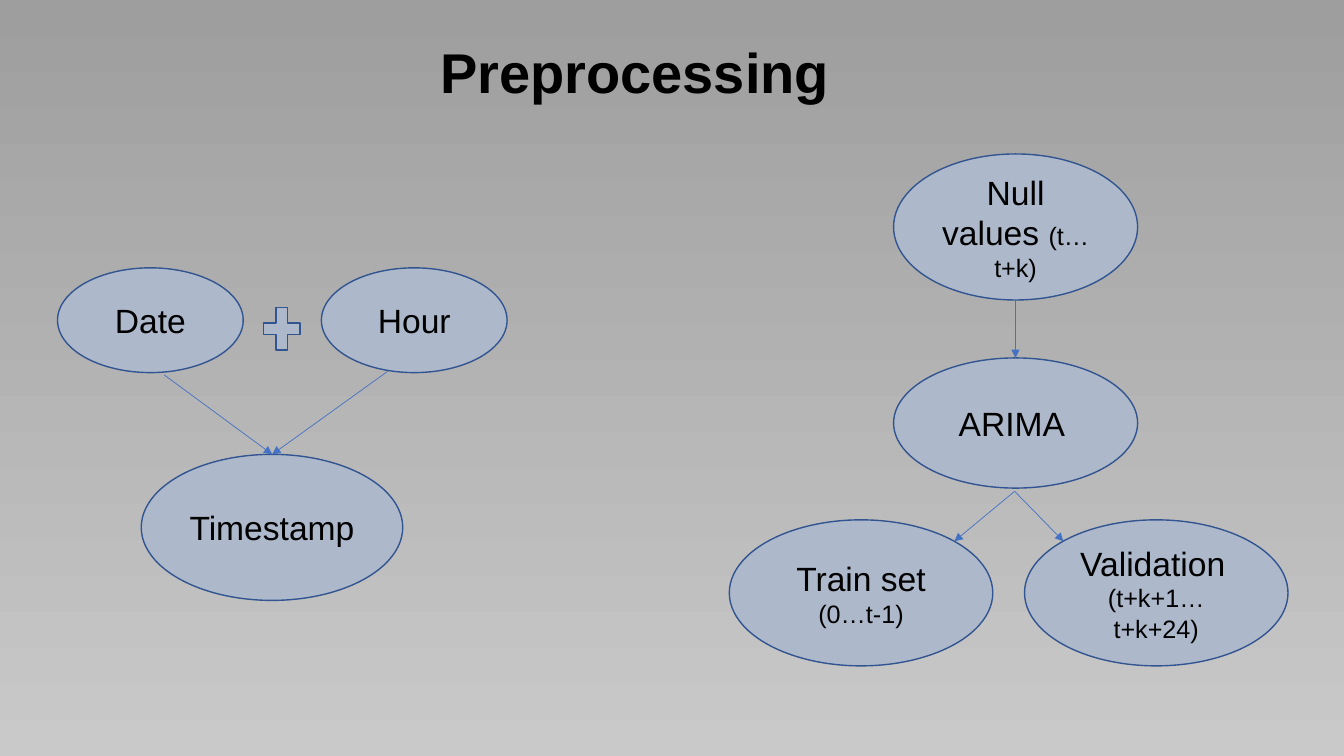
from lxml import etree
from pptx import Presentation
from pptx.dml.color import RGBColor
from pptx.enum.shapes import MSO_CONNECTOR, MSO_SHAPE
from pptx.enum.text import MSO_ANCHOR, PP_ALIGN
from pptx.oxml.ns import qn
from pptx.util import Cm, Pt

ELLIPSE = MSO_SHAPE.OVAL
PLUS = MSO_SHAPE.MATH_PLUS
STRAIGHT = MSO_CONNECTOR.STRAIGHT
MIDDLE = MSO_ANCHOR.MIDDLE
CENTER = PP_ALIGN.CENTER

COLORS = {
    "background_top": "9E9E9E",
    "background_bottom": "C9C9C9",
    "node": "ADB9CA",
    "outline": "325491",
    "arrow": "4472C4",
    "text": "000000",
}
LARGE, SMALL = 24, 18

# Each node: left, top, width, height in cm, then paragraphs of (text, size) runs
NODES = [
    (1.45, 6.75, 4.68, 2.64, [[("Date", LARGE)]]),
    (8.1, 6.75, 4.68, 2.64, [[("Hour", LARGE)]]),
    (3.56, 11.45, 6.59, 3.68, [[("Timestamp", LARGE)]]),
    (22.52, 3.88, 6.15, 3.68, [[("Null values ", LARGE), ("(t…t+k)", SMALL)]]),
    (22.52, 9.02, 6.15, 3.28, [[("ARIMA ", LARGE)]]),
    (25.82, 13.1, 6.64, 3.68,
     [[("Validation", LARGE), (" ", SMALL)], [("(t+k+1…t+k+24)", SMALL)]]),
    (18.38, 13.1, 6.64, 3.68, [[("Train set", LARGE)], [("(0…t-1)", SMALL)]]),
]

TIMESTAMP_TOP = (6.86, 11.45)
ARIMA_BOTTOM = (25.57, 12.38)
ARROWS = [
    ((25.59, 7.56), (25.59, 9.02)),
    (ARIMA_BOTTOM, (24.05, 13.64)),
    (ARIMA_BOTTOM, (26.8, 13.64)),
    ((9.78, 9.35), TIMESTAMP_TOP),
    ((4.14, 9.45), TIMESTAMP_TOP),
]


def color(name):
    """Return the named colour."""
    return RGBColor.from_string(COLORS[name])


def set_attributes(target, values):
    """Set every attribute of the target given in a dict."""
    for name, value in values.items():
        setattr(target, name, value)


def paint_background(slide):
    """Fill the slide with a gradient from top to bottom."""
    fill = slide.background.fill
    fill.gradient()
    fill.gradient_angle = 270
    for stop, name in zip(fill.gradient_stops, ("background_top", "background_bottom")):
        stop.color.rgb = color(name)


def write_text(shape, paragraphs, wrap=True, bold=False, line_spacing=None):
    """Write centred paragraphs of (text, size) runs into a shape."""
    frame = shape.text_frame
    set_attributes(frame, {"word_wrap": wrap, "vertical_anchor": MIDDLE})
    for index, runs in enumerate(paragraphs):
        paragraph = frame.add_paragraph() if index else frame.paragraphs[0]
        set_attributes(paragraph, {"alignment": CENTER, "line_spacing": line_spacing})
        for text, size in runs:
            run = paragraph.add_run()
            run.text = text
            set_attributes(run.font, {"name": "Arial", "size": Pt(size), "bold": bold})
            run.font.color.rgb = color("text")


def add_title(slide, text):
    """Add the slide heading."""
    title = slide.shapes.add_textbox(Cm(2.34), Cm(0.43), Cm(27.31), Cm(2.92))
    write_text(title, [[(text, 40)]], bold=True, line_spacing=0.9)


def add_outlined_shape(slide, preset, *box):
    """Add a filled and outlined preset shape; the box is in cm."""
    shape = slide.shapes.add_shape(preset, *map(Cm, box))
    shape.shadow.inherit = False
    shape.fill.solid()
    shape.fill.fore_color.rgb = color("node")
    shape.line.color.rgb = color("outline")
    shape.line.width = Pt(1)
    return shape


def add_node(slide, box, paragraphs):
    """Add an ellipse with text; a single word stays on one line."""
    words = [word for runs in paragraphs for text, _ in runs for word in text.split()]
    ellipse = add_outlined_shape(slide, ELLIPSE, *box)
    write_text(ellipse, paragraphs, wrap=len(words) > 1)


def add_arrow(slide, start, end):
    """Add a thin straight arrow between two points in cm."""
    arrow = slide.shapes.add_connector(STRAIGHT, *map(Cm, start + end))
    arrow.line.color.rgb = color("arrow")
    arrow.line.width = Pt(0.5)
    line = arrow.line._get_or_add_ln()
    etree.SubElement(line, qn("a:tailEnd"), type="triangle")
    etree.SubElement(line.getparent(), qn("a:effectLst"))


def main():
    """Build the preprocessing slide."""
    presentation = Presentation()
    set_attributes(presentation, {"slide_width": Cm(33.87), "slide_height": Cm(19.05)})
    slide = presentation.slides.add_slide(presentation.slide_layouts[6])
    paint_background(slide)
    add_title(slide, "Preprocessing")
    for *box, paragraphs in NODES:
        add_node(slide, box, paragraphs)
    for start, end in ARROWS:
        add_arrow(slide, start, end)
    add_outlined_shape(slide, PLUS, 6.48, 7.56, 1.25, 1.45)
    presentation.save("out.pptx")


main()
